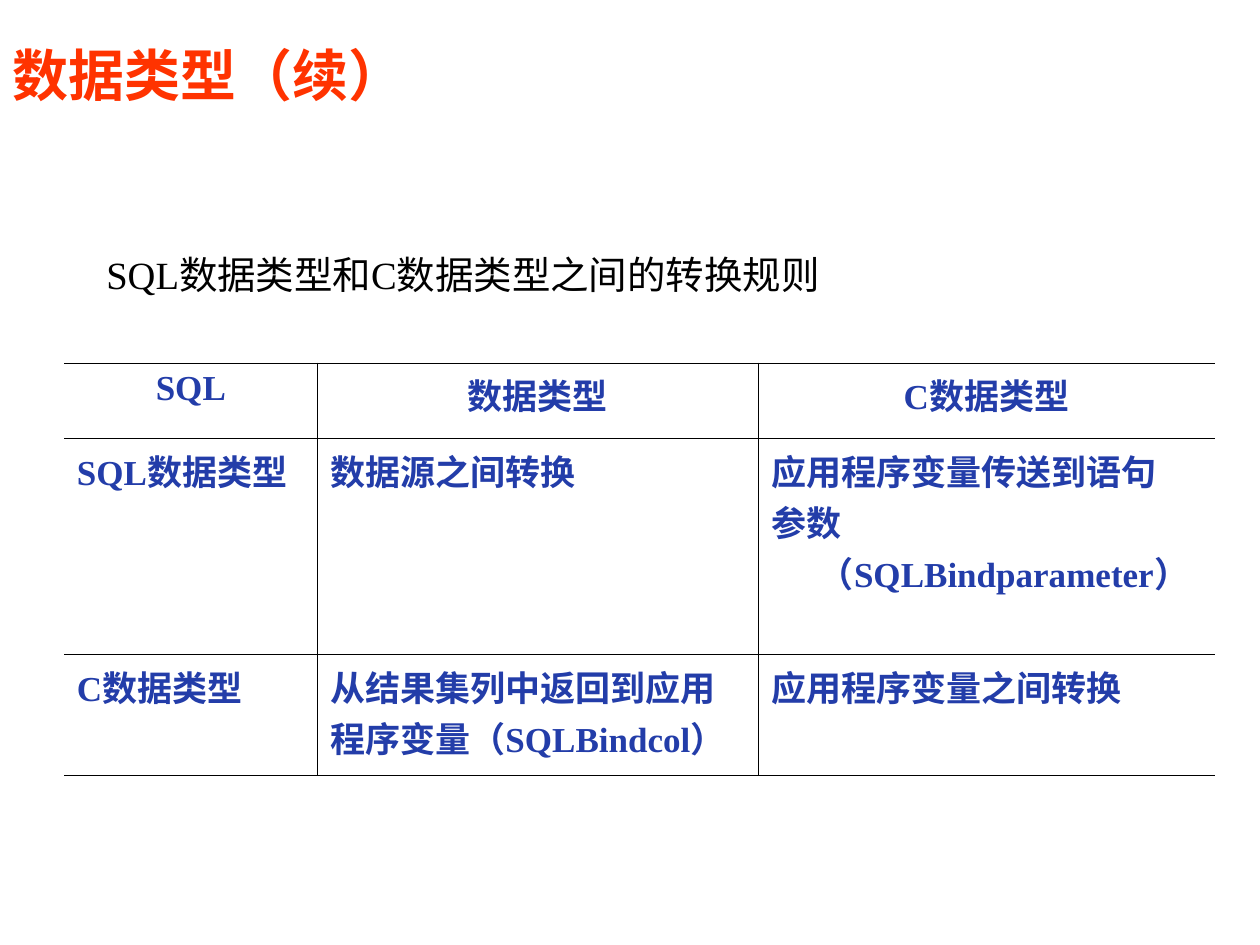
from dataclasses import dataclass

import pptx
import pptx.dml.color
import pptx.enum.text
import pptx.oxml
import pptx.oxml.ns
import pptx.util

Inches = pptx.util.Inches
Pt = pptx.util.Pt
Align = pptx.enum.text.PP_ALIGN


@dataclass(frozen=True)
class Style:
    size: float
    color: str
    bold: bool
    latin: str = "Times New Roman"
    asian: str = "Noto Sans CJK SC"


@dataclass(frozen=True)
class Theme:
    title: Style = Style(32, "FF3300", True, latin="Noto Sans CJK SC")
    lead: Style = Style(22, "000000", False)
    cell: Style = Style(20, "233DA9", True)
    rule: str = "000000"
    width: float = 0.45
    hang: float = 0.38


@dataclass(frozen=True)
class Row:
    height: float
    cells: tuple[str, ...]
    align: Align = Align.LEFT


THEME = Theme()
WIDTHS = (2.01, 3.5, 3.62)
ROWS = (
    Row(0.6, ("SQL", "数据类型", "C数据类型"), Align.CENTER),
    Row(1.44, ("SQL数据类型", "数据源之间转换",
               "应用程序变量传送到语句\n参数（SQLBindparameter）")),
    Row(0.96, ("C数据类型", "从结果集列中返回到应用\n程序变量（SQLBindcol）",
               "应用程序变量之间转换")),
)


def add_run(para, text: str, style: Style) -> None:
    run = para.add_run()
    run.text = text
    font = run.font
    font.size = Pt(style.size)
    font.bold = style.bold
    font.color.rgb = pptx.dml.color.RGBColor.from_string(style.color)
    font.name = style.latin
    asian = pptx.oxml.parse_xml(
        f'<a:ea {pptx.oxml.ns.nsdecls("a")} typeface="{style.asian}"/>')
    run.font._element.find(pptx.oxml.ns.qn("a:latin")).addnext(asian)


def write(frame, text: str, style: Style, align: Align, hang: float = 0) -> None:
    """Fill a frame with one paragraph per line, each with a hanging indent."""
    for index, line in enumerate(text.split("\n")):
        para = frame.add_paragraph() if index else frame.paragraphs[0]
        para.alignment = align
        props = para._p.get_or_add_pPr()
        props.set("marL", str(Inches(hang)))
        props.set("indent", str(-Inches(hang)))
        add_run(para, line, style)


def add_rule(cell, side: str, shown: bool) -> None:
    paint = (f'<a:solidFill><a:srgbClr val="{THEME.rule}"/></a:solidFill>'
             if shown else "<a:noFill/>")
    cell._tc.get_or_add_tcPr().append(pptx.oxml.parse_xml(
        f'<a:ln{side} {pptx.oxml.ns.nsdecls("a")} '
        f'w="{Pt(THEME.width)}">{paint}</a:ln{side}>'))


def add_title(slide, text: str) -> None:
    title = slide.shapes.title
    title.left, title.top = Inches(0), Inches(0.28)
    title.width, title.height = Inches(8.08), Inches(0.62)
    frame = title.text_frame
    frame.auto_size = pptx.enum.text.MSO_AUTO_SIZE.NONE
    frame.vertical_anchor = pptx.enum.text.MSO_ANCHOR.MIDDLE
    write(frame, text, THEME.title, Align.LEFT)


def add_lead(slide, text: str) -> None:
    box = slide.shapes.add_textbox(
        Inches(0.26), Inches(1.94), Inches(6.83), Inches(0.47))
    frame = box.text_frame
    frame.word_wrap = False
    frame.auto_size = pptx.enum.text.MSO_AUTO_SIZE.SHAPE_TO_FIT_TEXT
    write(frame, text, THEME.lead, Align.CENTER, THEME.hang)


def add_grid(slide) -> None:
    """Draw the table with open left and right edges."""
    high = sum(row.height for row in ROWS)
    table = slide.shapes.add_table(
        len(ROWS), len(WIDTHS), Inches(0.51), Inches(2.88),
        Inches(sum(WIDTHS)), Inches(high)).table
    table.first_row = table.horz_banding = False
    for column, width in zip(table.columns, WIDTHS):
        column.width = Inches(width)
    last = len(WIDTHS) - 1
    for r, row in enumerate(ROWS):
        table.rows[r].height = Inches(row.height)
        for c, text in enumerate(row.cells):
            cell = table.cell(r, c)
            sides = {"L": c > 0, "R": c < last, "T": True, "B": True}
            for side, shown in sides.items():
                add_rule(cell, side, shown)
            cell.fill.background()
            write(cell.text_frame, text, THEME.cell, row.align, THEME.hang)


def main() -> None:
    deck = pptx.Presentation()
    deck.slide_width, deck.slide_height = Inches(10), Inches(7.5)
    slide = deck.slides.add_slide(deck.slide_layouts[5])
    add_title(slide, "数据类型（续）")
    add_grid(slide)
    add_lead(slide, "SQL数据类型和C数据类型之间的转换规则")
    deck.save("out.pptx")


if __name__ == "__main__":
    main()
